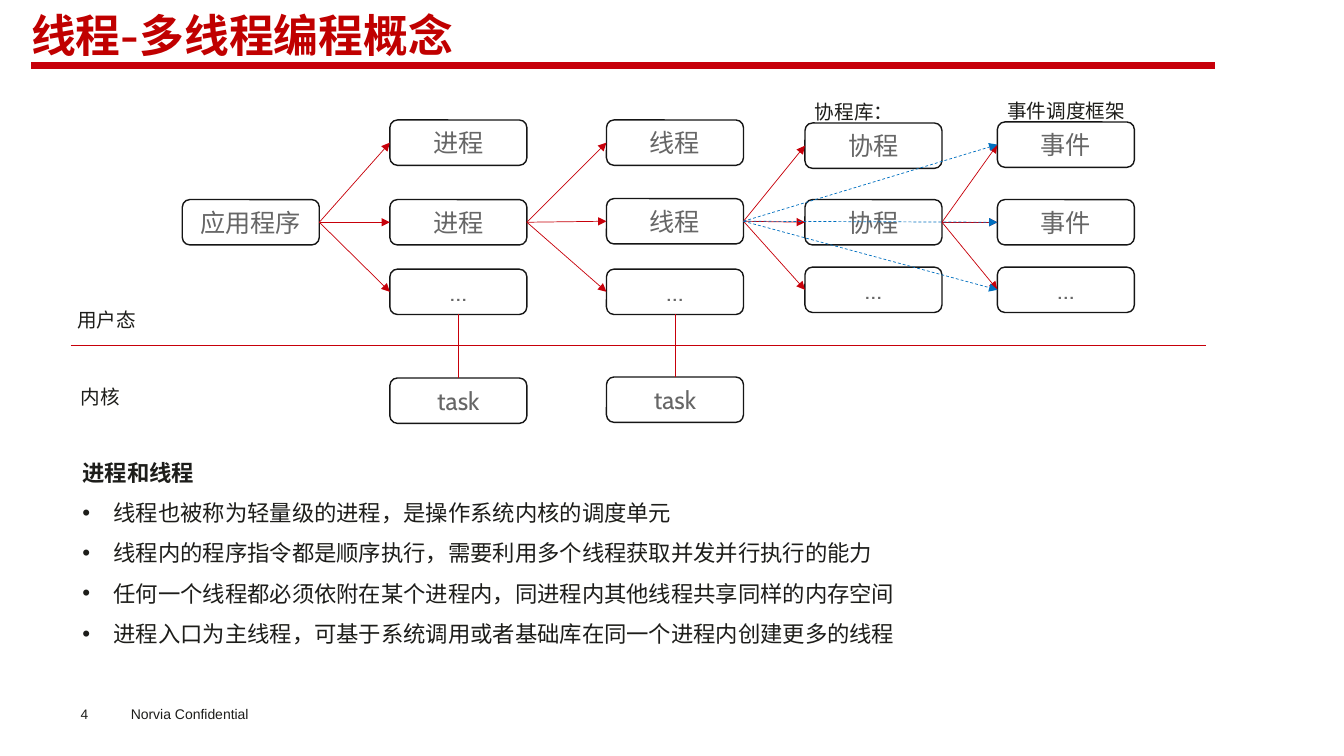
from dataclasses import dataclass

from lxml.etree import SubElement
from pptx import Presentation
from pptx.dml.color import RGBColor
from pptx.enum.dml import MSO_LINE
from pptx.enum.shapes import MSO_CONNECTOR, MSO_SHAPE
from pptx.enum.text import MSO_ANCHOR, PP_ALIGN
from pptx.oxml.ns import qn
from pptx.util import Inches, Length, Pt

HUES = {"title": "C00000", "red": "C7000A", "blue": "0070C0", "edge": "151515",
        "box": "666666", "ink": "1D1D1A", "foot": "1D1D1B"}

# Grid: 133.4 columns by 75 rows, each a tenth of an inch
COLS, ROWS = 133.4, 75
BOX_W, BOX_H = 13.6, 4.5


@dataclass(frozen=True)
class Node:
    text: str
    col: float
    row: float

    @property
    def mid(self) -> float:
        return self.row + BOX_H / 2

    @property
    def port(self) -> tuple[float, float]:
        return self.col + BOX_W, self.mid


@dataclass(frozen=True)
class Label:
    text: str
    col: float
    row: float
    wide: float = BOX_W


def unit(n: float) -> Length:
    return Inches(n / 10)


def hue(name: str) -> RGBColor:
    return RGBColor.from_string(HUES[name])


def write(frame, lines: list[str], *, size: float, color: str, font: str = "Cabin",
          bold: bool = False, align=None, lead=None, inset: bool = True,
          bullet: bool = False, start: int = 0) -> None:
    """Fill a frame with paragraphs, the first one at index start."""
    frame.word_wrap = True
    if not inset:
        frame.margin_left = frame.margin_right = 0
        frame.margin_top = frame.margin_bottom = 0
    for i, line in enumerate(lines, start):
        para = frame.paragraphs[0] if i == 0 else frame.add_paragraph()
        para.alignment = align
        para.line_spacing = lead
        if bullet:
            props = para._p.get_or_add_pPr()
            props.set("marL", str(unit(3.1)))
            props.set("indent", str(unit(-3.1)))
            SubElement(props, qn("a:buFont"), typeface="Arial")
            SubElement(props, qn("a:buChar"), char="•")
        run = para.add_run()
        run.text = line
        run.font.name = font
        run.font.size = Pt(size)
        run.font.bold = bold
        run.font.color.rgb = hue(color)


def area(slide, col: float, row: float, wide: float, high: float):
    box = slide.shapes.add_textbox(unit(col), unit(row), unit(wide), unit(high))
    return box.text_frame


def draw_node(slide, node: Node) -> None:
    box = slide.shapes.add_shape(MSO_SHAPE.ROUNDED_RECTANGLE, unit(node.col),
                                 unit(node.row), unit(BOX_W), unit(BOX_H))
    box.shadow.inherit = False
    box.fill.background()
    box.line.color.rgb = hue("edge")
    box.line.width = Pt(1)
    box.text_frame.vertical_anchor = MSO_ANCHOR.MIDDLE
    write(box.text_frame, [node.text], size=18, color="box", align=PP_ALIGN.CENTER)


def draw_line(slide, start: tuple[float, float], end: tuple[float, float], *,
              color: str = "red", width: float = 0.5, dash: bool = False,
              arrow: bool = False) -> None:
    link = slide.shapes.add_connector(MSO_CONNECTOR.STRAIGHT, unit(start[0]),
                                      unit(start[1]), unit(end[0]), unit(end[1]))
    link.line.color.rgb = hue(color)
    link.line.width = Pt(width)
    if dash:
        link.line.dash_style = MSO_LINE.DASH
    if arrow:
        SubElement(link.line._get_or_add_ln(), qn("a:tailEnd"), type="triangle")
    SubElement(link._element.spPr, qn("a:effectLst"))


def fan(slide, hub: Node, stack: list[Node], **style) -> None:
    for node in stack:
        draw_line(slide, hub.port, (node.col, node.mid), arrow=True, **style)


def trio(text: str, col: float, rows: tuple[float, float, float]) -> list[Node]:
    return [Node(word, col, row) for word, row in zip((text, text, "…"), rows)]


APP = Node("应用程序", 18.1, 19.8)
STACKS = [
    trio("进程", 38.7, (11.9, 19.8, 26.7)),
    trio("线程", 60.2, (11.9, 19.7, 26.7)),
    trio("协程", 79.9, (12.2, 19.8, 26.5)),
    trio("事件", 99, (12.1, 19.8, 26.5)),
]
TASKS = [Node("task", 38.7, 37.5), Node("task", 60.2, 37.4)]
LABELS = [
    Label("协程库：", 79.9, 7),
    Label("事件调度框架", 99, 6.9, 20.3),
    Label("内核", 7, 35.2),
    Label("用户态", 6.7, 27.6),
]
POINTS = [
    "线程也被称为轻量级的进程，是操作系统内核的调度单元",
    "线程内的程序指令都是顺序执行，需要利用多个线程获取并发并行执行的能力",
    "任何一个线程都必须依附在某个进程内，同进程内其他线程共享同样的内存空间",
    "进程入口为主线程，可基于系统调用或者基础库在同一个进程内创建更多的线程",
]


def main() -> None:
    deck = Presentation()
    deck.slide_width, deck.slide_height = unit(COLS), unit(ROWS)
    slide = deck.slides.add_slide(deck.slide_layouts[6])

    # Footer
    write(area(slide, 12, 69.5, 16, 2.7), ["Norvia Confidential"],
          size=10, color="foot", font="Arial")
    write(area(slide, 8, 70, 5.5, 1.6), ["4"],
          size=9.8, color="foot", font="Arial", inset=False)

    # Title and rule
    write(area(slide, 3.1, 1.3, 117.5, 10.9), ["线程-多线程编程概念"], size=32,
          color="title", bold=True, lead=Pt(34.3), inset=False)
    draw_line(slide, (3.1, 6.5), (120.6, 6.5), width=4.5)

    # Explanation
    body = area(slide, 7.2, 43.7, 111.4, 20.7)
    write(body, ["进程和线程"], size=16, color="ink", bold=True, lead=1.5)
    write(body, POINTS, size=16, color="ink", lead=1.5, bullet=True, start=1)

    # Boxes
    for node in [APP, *(n for stack in STACKS for n in stack), *TASKS]:
        draw_node(slide, node)

    # Arrows: each middle box fans out to the next stack
    hubs = [APP, *(stack[1] for stack in STACKS[:-1])]
    for hub, stack in zip(hubs, STACKS):
        fan(slide, hub, stack)
    fan(slide, STACKS[1][1], STACKS[3], color="blue", dash=True)

    # Border between user space and kernel
    draw_line(slide, (7, 34.3), (119.7, 34.3))
    for task, stack in zip(TASKS, STACKS):
        mid = task.col + BOX_W / 2
        draw_line(slide, (mid, task.row), (mid, stack[-1].row + BOX_H))

    # Labels
    for tag in LABELS:
        write(area(slide, tag.col, tag.row, tag.wide, 5.2), [tag.text],
              size=14, color="ink", lead=Pt(34.4))

    deck.save("out.pptx")


if __name__ == "__main__":
    main()
